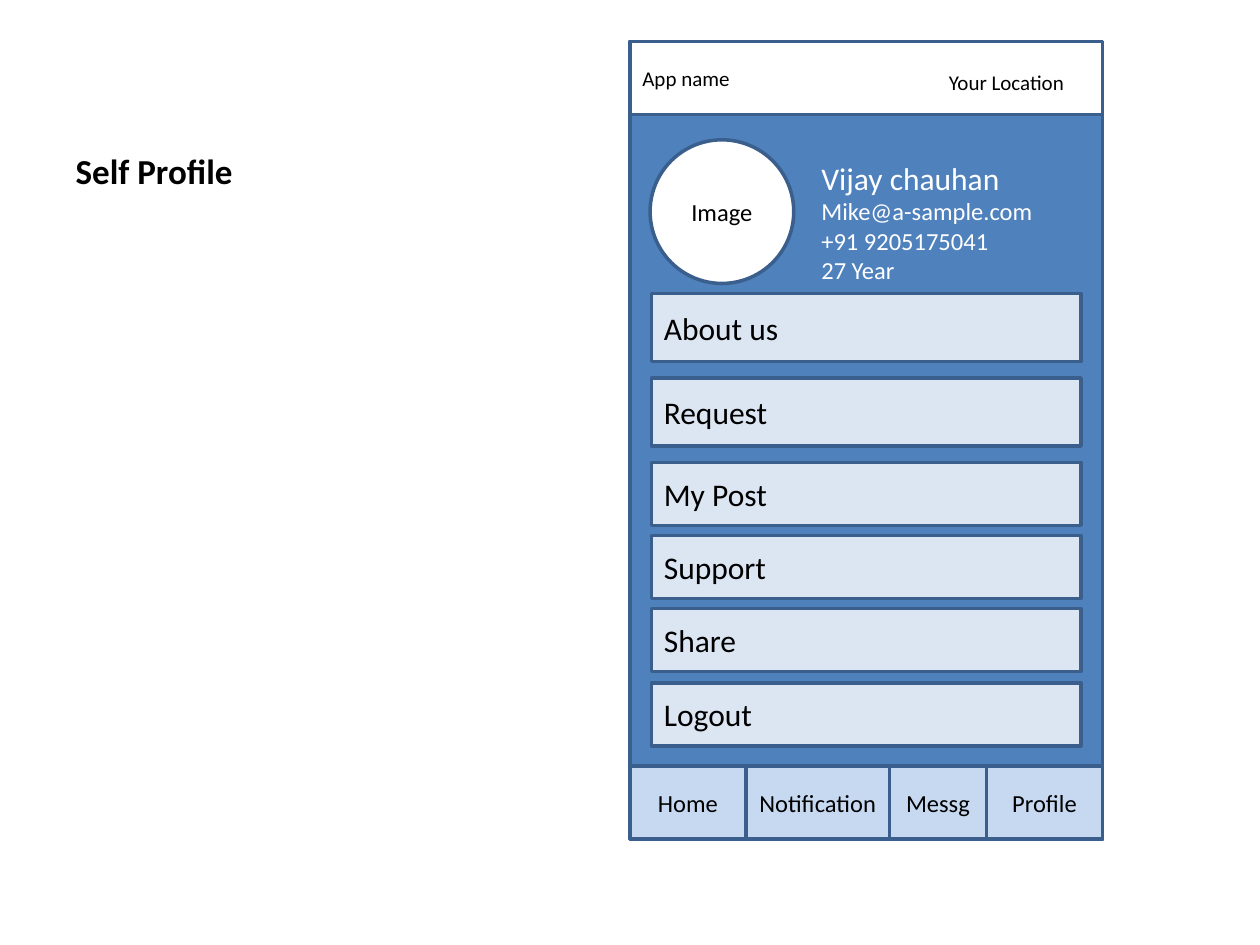
from pptx import Presentation
from pptx.dml.color import RGBColor
from pptx.enum.shapes import MSO_SHAPE
from pptx.enum.text import MSO_ANCHOR, PP_ALIGN
from pptx.util import Inches, Pt

RECT, OVAL = MSO_SHAPE.RECTANGLE, MSO_SHAPE.OVAL
LEFT, MID, RIGHT = PP_ALIGN.LEFT, PP_ALIGN.CENTER, PP_ALIGN.RIGHT
TOP, CENTER, BASE = MSO_ANCHOR.TOP, MSO_ANCHOR.MIDDLE, MSO_ANCHOR.BOTTOM

BLACK, WHITE = "000000", "FFFFFF"
BLUE, EDGE, PALE, SOFT = "4F81BD", "3A5F8C", "DCE6F2", "C6D9F1"


def color(code):
    return RGBColor.from_string(code)


def write(shape, lines, tint=BLACK, align=LEFT, anchor=TOP, bold=False):
    frame = shape.text_frame
    frame.word_wrap = True
    frame.vertical_anchor = anchor
    for i, (text, size) in enumerate(lines):
        para = frame.add_paragraph() if i else frame.paragraphs[0]
        para.alignment = align
        run = para.add_run()
        run.text = text
        run.font.name = "Calibri"
        run.font.size = Pt(size)
        run.font.bold = bold
        run.font.color.rgb = color(tint)


def block(slide, box, fill, text="", size=14, align=LEFT, kind=RECT):
    shape = slide.shapes.add_shape(kind, *map(Inches, box))
    shape.shadow.inherit = False
    shape.fill.solid()
    shape.fill.fore_color.rgb = color(fill)
    shape.line.color.rgb = color(EDGE)
    shape.line.width = Pt(2)
    if text:
        write(shape, [(text, size)], align=align, anchor=CENTER)


def label(slide, box, lines, tint=BLACK, align=LEFT):
    write(slide.shapes.add_textbox(*map(Inches, box)), lines, tint, align)


def heading(slide, box):
    title = slide.shapes.title
    title.left, title.top, title.width, title.height = map(Inches, box)
    write(title, [("Self Profile", 20)], anchor=BASE, bold=True)


def header(slide, box):
    x, y, w, h = box
    block(slide, box, WHITE, "App name", 12)
    label(slide, (x + 2.25, y + 0.17, 1.33, 0.3),
          [("Your Location ", 12)], align=RIGHT)


def profile(slide, box):
    x, y, w, h = box
    block(slide, (x, y, h, h), WHITE, "Image", align=MID, kind=OVAL)
    lines = [("Vijay chauhan", 18), ("Mike@a-sample.com", 14),
             ("+91 9205175041", 14), ("27 Year", 14)]
    label(slide, (x + 1.26, y + 0.1, w - 1.26, 1.35), lines, WHITE)


def menu(slide, box):
    x, y, w, h = box
    rows = [("About us", 0, 0.54), ("Request", 0.67, 0.54),
            ("My Post", 1.34, 0.5), ("Support", 1.92, 0.5),
            ("Share", 2.5, 0.5), ("Logout", h - 0.5, 0.5)]
    for text, drop, tall in rows:
        block(slide, (x, y + drop, w, tall), PALE, text, 18)


def tabs(slide, box):
    x, y, w, h = box
    block(slide, box, WHITE)
    parts = [("Home", 0.92), ("Notification", 1.14),
             ("Messg", 0.77), ("Profile", 0.92)]
    for text, wide in parts:
        block(slide, (x, y, wide, h), SOFT, text, align=MID)
        x += wide


def phone(slide, box):
    x, y, w, h = box
    bar = 0.58
    block(slide, box, BLUE)
    header(slide, (x, y, w, bar))
    profile(slide, (x + 0.16, y + 0.78, 3.41, 1.14))
    menu(slide, (x + 0.17, y + 2, 3.41, 3.59))
    tabs(slide, (x, y + h - bar, w, bar))


def main():
    deck = Presentation()
    deck.slide_width, deck.slide_height = Inches(10), Inches(7.5)
    slide = deck.slides.add_slide(deck.slide_layouts[5])
    heading(slide, (0.5, 0.3, 3.29, 1.27))
    phone(slide, (5, 0.33, 3.75, 6.33))
    deck.save("out.pptx")


if __name__ == "__main__":
    main()
